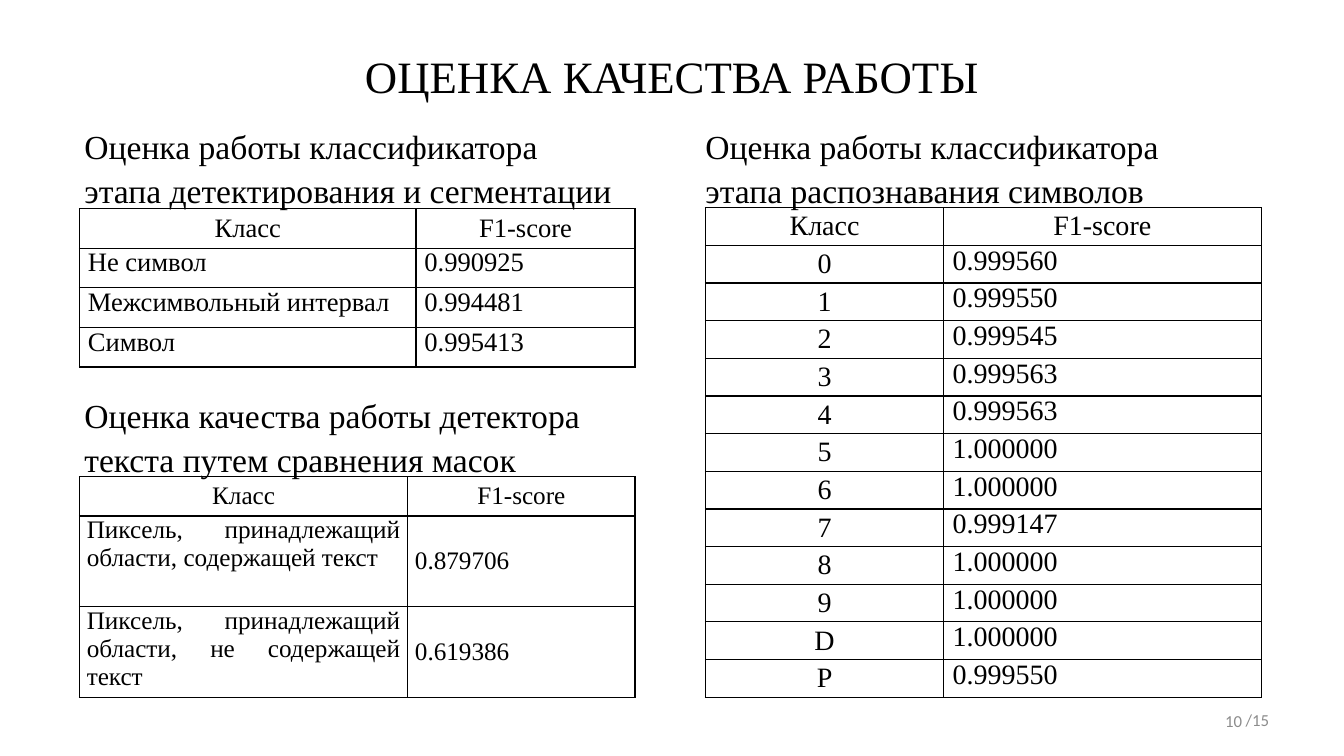
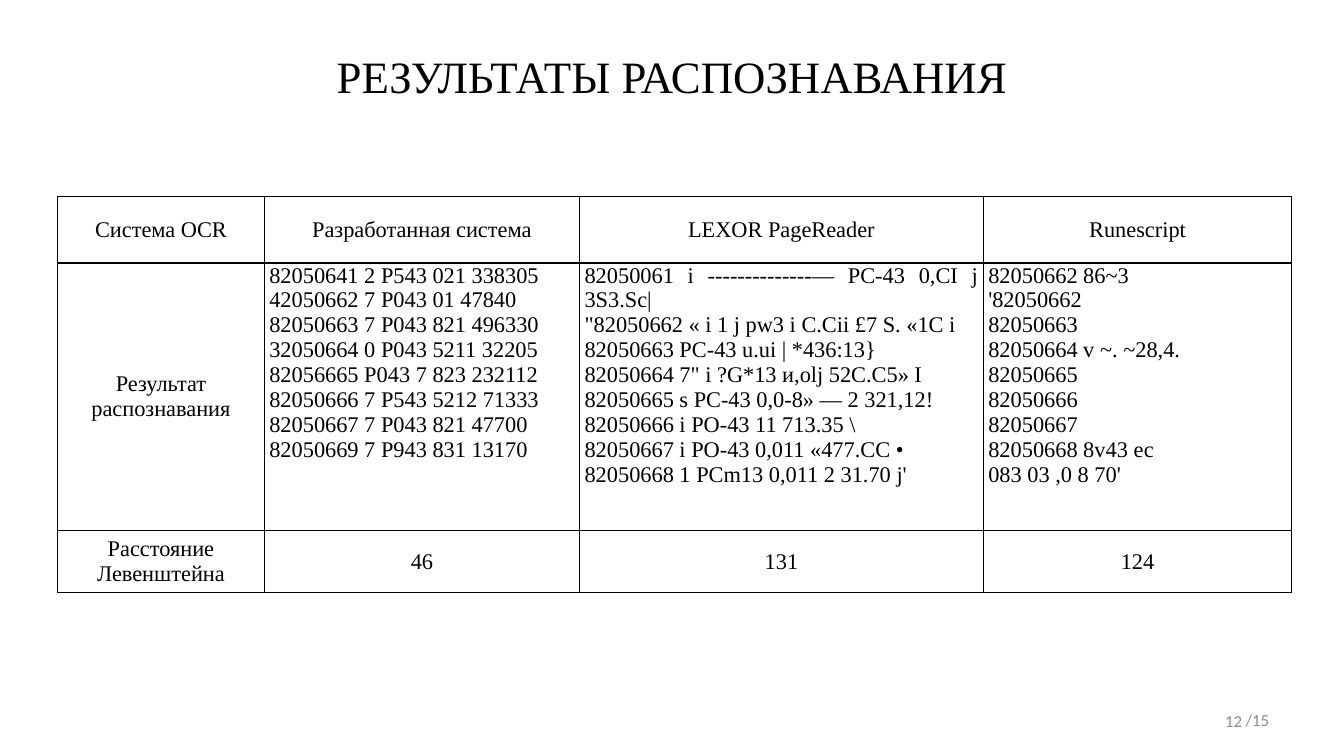
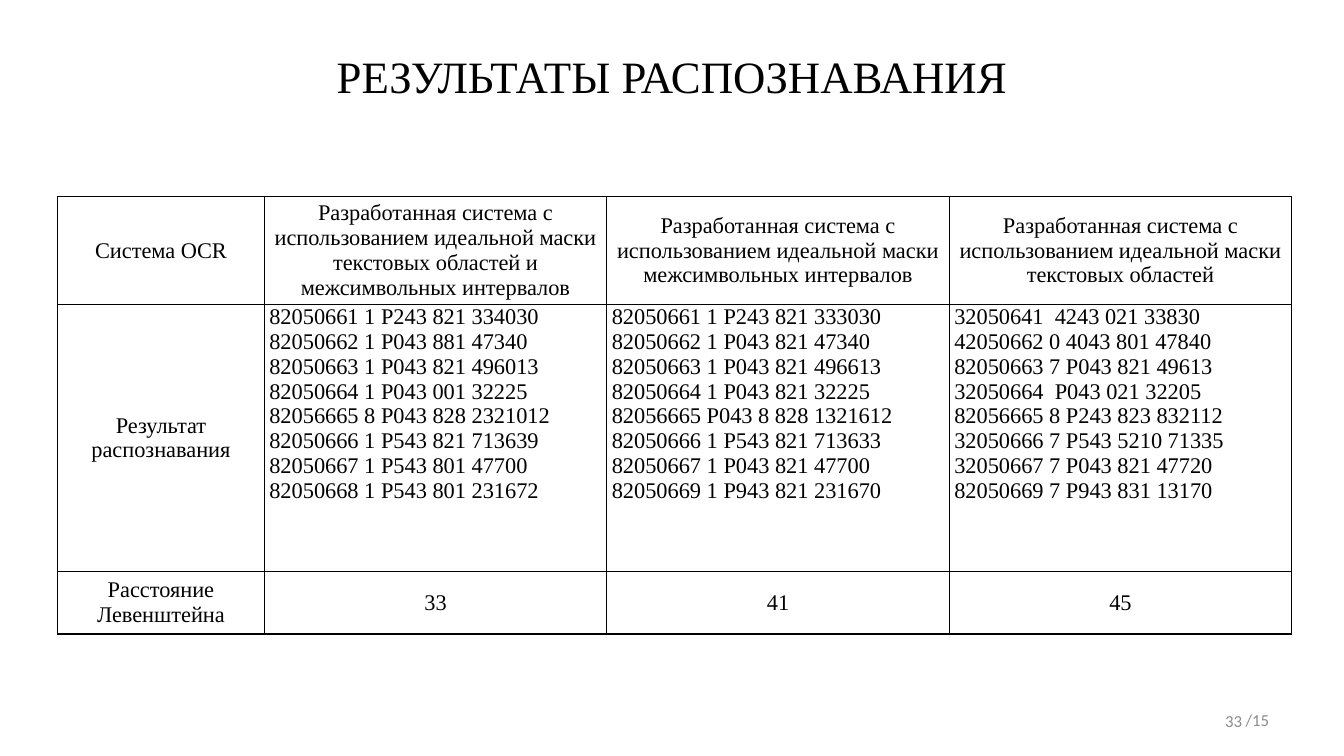
from lxml import etree
from pptx import Presentation
from pptx.dml.color import RGBColor
from pptx.enum.text import MSO_ANCHOR, MSO_AUTO_SIZE, PP_ALIGN
from pptx.oxml.ns import qn
from pptx.util import Inches, Pt

BLACK = RGBColor(0x00, 0x00, 0x00)
GRAY = RGBColor(0x8C, 0x8C, 0x8C)
SERIF = "Times New Roman"
SANS = "Calibri"
LEFT, CENTER, RIGHT, JUSTIFY = PP_ALIGN.LEFT, PP_ALIGN.CENTER, PP_ALIGN.RIGHT, PP_ALIGN.JUSTIFY
TOP, MIDDLE = MSO_ANCHOR.TOP, MSO_ANCHOR.MIDDLE
GROW, FIXED = MSO_AUTO_SIZE.SHAPE_TO_FIT_TEXT, MSO_AUTO_SIZE.NONE

CENTERED = (CENTER, MIDDLE)
SIDE = (LEFT, MIDDLE)
BODY = (JUSTIFY, TOP)

GRID_COLUMNS, GRID_ROWS = 120, 75
PANEL = 49.6
LEFT_PANEL, RIGHT_PANEL = 7.1, 63
SLIDE_TOTAL = 15


class Deck:
    def __init__(self):
        self.presentation = Presentation()
        self.presentation.slide_width = Inches(40 / 3)
        self.presentation.slide_height = Inches(7.5)
        self.slide = None

    def across(self, columns):
        return round(self.presentation.slide_width * columns / GRID_COLUMNS)

    def down(self, rows):
        return round(self.presentation.slide_height * rows / GRID_ROWS)

    def add_lines(self, text_frame, text, size, align, font=SERIF, color=BLACK, spacing=1.0):
        for index, line in enumerate(text.split("\n")):
            paragraph = text_frame.add_paragraph() if index else text_frame.paragraphs[0]
            paragraph.alignment = align
            paragraph.line_spacing = spacing
            run = paragraph.add_run()
            run.text = line
            run.font.size = Pt(size)
            run.font.name = font
            run.font.color.rgb = color

    def add_text(self, left, top, width, height, text, size, align=LEFT, anchor=TOP,
                 wrap=True, fit=GROW, **style):
        shape = self.slide.shapes.add_textbox(
            self.across(left), self.down(top), self.across(width), self.down(height))
        text_frame = shape.text_frame
        text_frame.word_wrap = wrap
        text_frame.auto_size = fit
        text_frame.vertical_anchor = anchor
        self.add_lines(text_frame, text, size, align, **style)

    def add_slide(self, title, title_width, number):
        self.slide = self.presentation.slides.add_slide(self.presentation.slide_layouts[6])
        self.add_text((GRID_COLUMNS - title_width) / 2, 3.8, title_width, 6.4,
                      title, 32, CENTER, wrap=False, spacing=1.1)
        footer = {"size": 12, "align": RIGHT, "anchor": MIDDLE, "fit": FIXED,
                  "font": SANS, "color": GRAY}
        self.add_text(84.8, 69.5, 27, 4, str(number), **footer)
        self.add_text(39.8, 69.3, 74.4, 4.3, f"/{SLIDE_TOTAL}", **footer)

    def add_caption(self, left, top, text):
        self.add_text(left, top, PANEL, 9.1, text, 24, spacing=1.1)

    def add_border(self, cell):
        properties = cell._tc.get_or_add_tcPr()
        for index, side in enumerate(("a:lnL", "a:lnR", "a:lnT", "a:lnB")):
            line = etree.Element(qn(side), w=str(Pt(1)))
            fill = etree.SubElement(line, qn("a:solidFill"))
            etree.SubElement(fill, qn("a:srgbClr"), val=str(BLACK))
            properties.insert(index, line)

    def add_grid(self, left, top, widths, heights, cells, styles, size, margin):
        frame = self.slide.shapes.add_table(
            len(heights), len(widths), self.across(left), self.down(top),
            self.across(sum(widths)), self.down(sum(heights)))
        table = frame.table
        table.first_row = table.horz_banding = False
        for column, width in zip(table.columns, widths):
            column.width = self.across(width)
        for row, height in zip(table.rows, heights):
            row.height = self.down(height)
        for row, texts, row_styles in zip(table.rows, cells, styles):
            for cell, text, (align, anchor) in zip(row.cells, texts, row_styles):
                cell.fill.background()
                self.add_border(cell)
                cell.margin_left = cell.margin_right = self.across(margin)
                cell.margin_top = cell.margin_bottom = 0
                cell.vertical_anchor = anchor
                self.add_lines(cell.text_frame, text, size, align)

    def add_score_table(self, left, top, widths, heights, scores, body, size, margin):
        styles = [(CENTERED, CENTERED)] + [body] * len(scores)
        self.add_grid(left, top, widths, heights, [("Класс", "F1-score")] + scores,
                      styles, size, margin)

    def add_result_table(self, widths, header_height, systems, results, distances):
        cells = [["Система OCR"] + systems,
                 ["Результат распознавания"] + results,
                 ["Расстояние Левенштейна"] + distances]
        centered_row = [CENTERED] * len(widths)
        styles = [centered_row, [CENTERED] + [BODY] * len(results), centered_row]
        self.add_grid(5.15, 19.5, widths, [header_height, 26.5, 6.2], cells, styles, 16, 0.45)


DETECTION_SCORES = [
    ("Не символ", "0.990925"),
    ("Межсимвольный интервал", "0.994481"),
    ("Символ", "0.995413"),
]
MASK_SCORES = [
    ("Пиксель, принадлежащий области, содержащей текст", "0.879706"),
    ("Пиксель, принадлежащий области, не содержащей текст", "0.619386"),
]
SYMBOL_SCORES = list(zip("0123456789DP", (
    "0.999560", "0.999550", "0.999545", "0.999563", "0.999563", "1.000000",
    "1.000000", "0.999147", "1.000000", "1.000000", "1.000000", "0.999550")))

SYSTEM_RESULTS = [
    """82050641 2 P543 021 338305
42050662 7 P043 01 47840
82050663 7 P043 821 496330
32050664 0 P043 5211 32205
82056665 P043 7 823 232112
82050666 7 P543 5212 71333
82050667 7 P043 821 47700
82050669 7 P943 831 13170""",
    """82050061 i --------------— PC-43 0,CI j 3S3.Sc|
"82050662 « i 1 j pw3 i C.Cii £7 S. «1C i
82050663 PC-43 u.ui | *436:13}
82050664 7" i ?G*13 и,olj 52С.С5» I
82050665 s PC-43 0,0-8» — 2 321,12!
82050666 i PO-43 11 713.35 \\
82050667 i PO-43 0,011 «477.СС •
82050668 1 PCm13 0,011 2 31.70 j'""",
    """82050662 86~3
'82050662
82050663
82050664 v ~. ~28,4.
82050665
82050666
82050667
82050668 8v43 ес
083 03 ,0 8 70'""",
]
MASK_RESULTS = [
    """82050661 1 P243 821 334030
82050662 1 P043 881 47340
82050663 1 P043 821 496013
82050664 1 P043 001 32225
82056665 8 P043 828 2321012
82050666 1 P543 821 713639
82050667 1 P543 801 47700
82050668 1 P543 801 231672""",
    """82050661 1 P243 821 333030
82050662 1 P043 821 47340
82050663 1 P043 821 496613
82050664 1 P043 821 32225
82056665 P043 8 828 1321612
82050666 1 P543 821 713633
82050667 1 P043 821 47700
82050669 1 P943 821 231670""",
    """32050641  4243 021 33830
42050662 0 4043 801 47840
82050663 7 P043 821 49613
32050664  P043 021 32205
82056665 8 P243 823 832112
32050666 7 P543 5210 71335
32050667 7 P043 821 47720
82050669 7 P943 831 13170""",
]
IDEAL_MASK = "Разработанная система с использованием идеальной маски "
MASKS = ("текстовых областей и межсимвольных интервалов",
         "межсимвольных интервалов", "текстовых областей")


def quality_slide(deck):
    deck.add_slide("ОЦЕНКА КАЧЕСТВА РАБОТЫ", 57, 10)
    deck.add_caption(6.65, 11.6, "Оценка работы классификатора этапа детектирования и сегментации")
    deck.add_score_table(LEFT_PANEL, 20.7, [30.05, 19.55], [3.93] * 4,
                         DETECTION_SCORES, (BODY, BODY), 19, 0.75)
    deck.add_caption(6.65, 38.3, "Оценка качества работы детектора текста путем сравнения масок")
    deck.add_score_table(LEFT_PANEL, 47.3, [29.3, 20.3], [3.9, 9, 9],
                         MASK_SCORES, (BODY, SIDE), 18, 0.65)
    deck.add_caption(62.1, 11.6, "Оценка работы классификатора этапа распознавания символов")
    deck.add_score_table(RIGHT_PANEL, 20.6, [21.25, 28.35], [3.74] * 13,
                         SYMBOL_SCORES, (CENTERED, BODY), 20, 0.8)


def systems_slide(deck):
    deck.add_slide("РЕЗУЛЬТАТЫ РАСПОЗНАВАНИЯ", 62, 12)
    deck.add_result_table([18.45, 28.15, 36.05, 27.55], 6.6,
                          ["Разработанная система", "LEXOR PageReader", "Runescript"],
                          SYSTEM_RESULTS, ["46", "131", "124"])


def masks_slide(deck):
    deck.add_slide("РЕЗУЛЬТАТЫ РАСПОЗНАВАНИЯ", 62, 33)
    deck.add_result_table([18.45] + [30.58] * 3, 10.7, [IDEAL_MASK + mask for mask in MASKS],
                          MASK_RESULTS, ["33", "41", "45"])


def main():
    deck = Deck()
    quality_slide(deck)
    systems_slide(deck)
    masks_slide(deck)
    deck.presentation.save("out.pptx")


if __name__ == "__main__":
    main()
